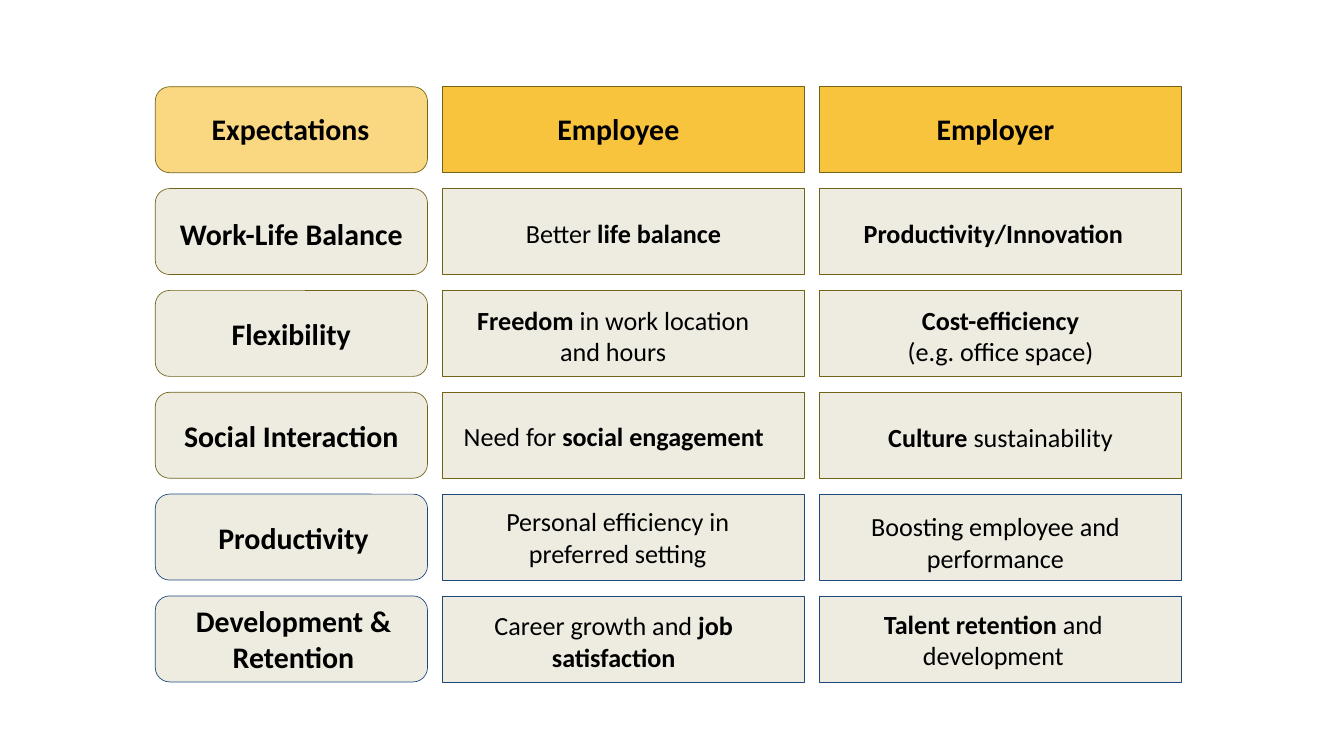
import pptx
import pptx.util
import pptx.dml.color
import pptx.enum.shapes
import pptx.enum.text

Cm, Pt = pptx.util.Cm, pptx.util.Pt
SHAPE = pptx.enum.shapes.MSO_SHAPE

COLOURS = {
    "text": "000000", "cell": "EEECE1", "corner": "F9D881",
    "header": "F8C43D", "olive": "716419", "navy": "1F497D",
}

# Each label: text (*bold*), line count, label width, shift of its centre (x, y) in cm
ROWS = [
    [("*Expectations*", 1, 7.14, -0.03, -0.03),
     ("*Employee*", 1, 5.94, -0.19, -0.05),
     ("*Employer*", 1, 5.94, -0.19, -0.05)],
    [("*Work-Life Balance*", 1, 9.27, 0, 0.08),
     ("Better *life balance*", 1, 9.27, 0, 0.04),
     ("*Productivity/Innovation*", 1, 12.29, -0.27, 0.04)],
    [("*Flexibility*", 1, 9.27, 0, 0),
     ("*Freedom* in work location and hours", 2, 12.29, -0.39, 0.08),
     ("*Cost-efficiency*\n(e.g. office space)", 2, 13.69, 0, 0.08)],
    [("*Social Interaction*", 1, 9.27, 0, 0),
     ("Need for *social engagement*", 1, 12.29, -0.37, 0.04),
     ("*Culture *sustainability", 1, 12.29, 0, 0.06)],
    [("*Productivity*", 1, 9.27, 0.08, 0.03),
     ("Personal efficiency in preferred setting", 2, 12.29, -0.22, 0),
     ("Boosting employee and performance", 2, 12.29, -0.19, 0.18)],
    [("*Development & Retention*", 2, 9.27, 0.08, 0),
     ("Career growth and *job satisfaction*", 2, 12.29, -0.37, 0.08),
     ("*Talent retention* and development", 2, 12.29, -0.27, 0.03)],
]

# Grid, in cm
LEFT, TOP = 5.87, 3.28
WIDTHS = [10.29, 13.69, 13.69]
GAP = 0.56
ROW_HEIGHT, ROW_STEP = 3.25, 3.85
INSET = 0.25
FIRST_NAVY_ROW = 4

FRAME_FORMAT = {
    "word_wrap": True,
    "auto_size": pptx.enum.text.MSO_AUTO_SIZE.SHAPE_TO_FIT_TEXT,
    "margin_left": Cm(INSET), "margin_right": Cm(INSET),
    "margin_top": Cm(INSET), "margin_bottom": Cm(INSET),
}


def colour(name):
    return pptx.dml.color.RGBColor.from_string(COLOURS[name])


def apply_format(target, values):
    for name, value in values.items():
        setattr(target, name, value)


def add_cell(page, kind, left, top, width, fill, line):
    cell = page.shapes.add_shape(kind, Cm(left), Cm(top), Cm(width), Cm(ROW_HEIGHT))
    cell.shadow.inherit = False
    cell.fill.solid()
    cell.fill.fore_color.rgb = colour(fill)
    cell.line.color.rgb = colour(line)
    cell.line.width = Pt(0.75)


def add_label(page, text, lines, size, centre_x, centre_y, width):
    height = lines * size * 1.2 * 2.54 / 72 + 2 * INSET
    box = page.shapes.add_textbox(
        Cm(centre_x - width / 2), Cm(centre_y - height / 2), Cm(width), Cm(height))
    frame = box.text_frame
    apply_format(frame, FRAME_FORMAT)
    for index, content in enumerate(text.split("\n")):
        para = frame.add_paragraph() if index else frame.paragraphs[0]
        para.alignment = pptx.enum.text.PP_ALIGN.CENTER
        for part, words in enumerate(content.split("*")):
            if words:
                span = para.add_run()
                span.text = words
                apply_format(span.font, {
                    "name": "Calibri", "size": Pt(size), "bold": part % 2 == 1})
                span.font.color.rgb = colour("text")


def main():
    deck = pptx.Presentation()
    deck.slide_width, deck.slide_height = Cm(50.8), Cm(28.58)
    page = deck.slides.add_slide(deck.slide_layouts[6])

    # Header row and first column carry the larger headings
    for row, labels in enumerate(ROWS):
        top = TOP + row * ROW_STEP
        line = "navy" if row >= FIRST_NAVY_ROW else "olive"
        left = LEFT
        for column, (text, lines, width, shift_x, shift_y) in enumerate(labels):
            cell_width = WIDTHS[column]
            kind = SHAPE.RECTANGLE if column else SHAPE.ROUNDED_RECTANGLE
            fill = "cell" if row else "header" if column else "corner"
            size = 28 if row and column else 32
            add_cell(page, kind, left, top, cell_width, fill, line)
            add_label(page, text, lines, size, left + cell_width / 2 + shift_x,
                      top + ROW_HEIGHT / 2 + shift_y, width)
            left += cell_width + GAP

    deck.save("out.pptx")


if __name__ == "__main__":
    main()
